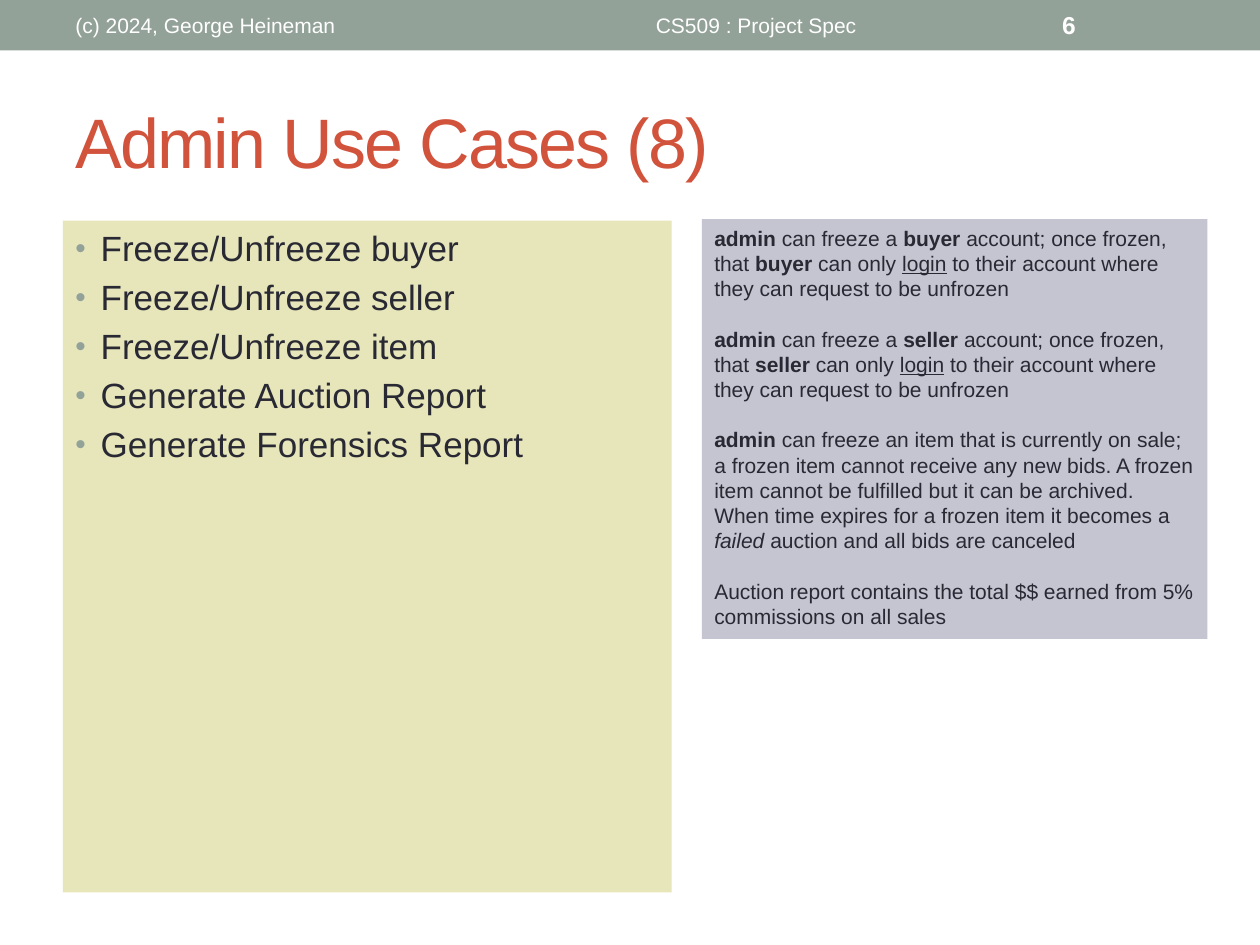
from lxml import etree
from pptx import Presentation
from pptx import util as u
from pptx.dml.color import RGBColor
from pptx.enum import shapes, text
from pptx.oxml import ns

SAGE = RGBColor(0x93, 0xA2, 0x99)
RED = RGBColor(0xD2, 0x53, 0x3C)
CREAM = RGBColor(0xE7, 0xE5, 0xBA)
LILAC = RGBColor(0xC5, 0xC5, 0xD1)
INK = RGBColor(0x29, 0x29, 0x34)
WHITE = RGBColor(0xFF, 0xFF, 0xFF)

prs = Presentation()
prs.slide_width, prs.slide_height = u.Cm(25.4), u.Cm(19.05)
s = prs.slides.add_slide(prs.slide_layouts[6])


def add_box(left, top, width, height, fill=None, anchor=text.MSO_ANCHOR.MIDDLE):
    """Add a box measured in cm; without a fill it is a plain text box."""
    at = [u.Cm(v) for v in (left, top, width, height)]
    if fill is None:
        sp = s.shapes.add_textbox(*at)
    else:
        sp = s.shapes.add_shape(shapes.MSO_SHAPE.RECTANGLE, *at)
        sp.shadow.inherit = False
        sp.fill.solid()
        sp.fill.fore_color.rgb = fill
        sp.line.fill.background()
    sp.text_frame.word_wrap = True
    sp.text_frame.vertical_anchor = anchor
    return sp


def add_run(p, words, size, color, style=""):
    """Add a run; style holds any of the letters b, i and u."""
    r = p.add_run()
    r.text = words
    r.font.name = "Arial"
    r.font.size = u.Pt(size)
    r.font.color.rgb = color
    r.font.bold = "b" in style
    r.font.italic = "i" in style
    r.font.underline = "u" in style
    return r


# Header band
add_box(0, 0, 25.4, 1.02, SAGE)
header = [
    (1.27, 8.05, "(c) 2024, George Heineman", 12, "", text.PP_ALIGN.LEFT),
    (9.53, 11.43, "CS509 : Project Spec", 12, "", text.PP_ALIGN.CENTER),
    (21.16, 2.97, "6", 14, "b", text.PP_ALIGN.LEFT),
]
for left, width, words, size, style, align in header:
    p = add_box(left, 0.05, width, 0.91).text_frame.paragraphs[0]
    p.alignment = align
    add_run(p, words, size, WHITE, style)

# Title
p = add_box(1.27, 1.47, 22.86, 2.74).text_frame.paragraphs[0]
r = add_run(p, "Admin Use Cases (8)", 40, RED)
r.font._element.set("spc", "-100")

# Use cases
use_cases = [
    "Freeze/Unfreeze buyer",
    "Freeze/Unfreeze seller",
    "Freeze/Unfreeze item",
    "Generate Auction Report",
    "Generate Forensics Report",
]
tf = add_box(1.27, 4.45, 12.27, 13.54, CREAM, text.MSO_ANCHOR.TOP).text_frame
for i, words in enumerate(use_cases):
    p = tf.add_paragraph() if i else tf.paragraphs[0]
    p.alignment = text.PP_ALIGN.LEFT
    p.space_before = u.Pt(4)
    add_run(p, words, 20, INK)
    pPr = p._p.get_or_add_pPr()
    pPr.set("marL", str(u.Cm(0.51)))
    pPr.set("indent", str(-u.Cm(0.51)))
    color = etree.SubElement(pPr, ns.qn("a:buClr"))
    etree.SubElement(color, ns.qn("a:srgbClr"), val=str(SAGE))
    etree.SubElement(pPr, ns.qn("a:buSzPct"), val="85000")
    etree.SubElement(pPr, ns.qn("a:buFont"), typeface="Arial")
    etree.SubElement(pPr, ns.qn("a:buChar"), char="•")

# Explanations
notes = [
    [("admin ", "b"), ("can freeze a ", ""), (f"{role} ", "b"),
     ("account; once frozen, that ", ""), (role, "b"), (" can only ", ""),
     ("login", "u"),
     (" to their account where they can request to be unfrozen", "")]
    for role in ("buyer", "seller")
] + [
    [("admin", "b"),
     (" can freeze an item that is currently on sale; a frozen item cannot "
      "receive any new bids. A frozen item cannot be fulfilled but it can be "
      "archived. When time expires for a frozen item it becomes a ", ""),
     ("failed", "i"), (" auction and all bids are canceled", "")],
    [("Auction report contains the total $$ earned from 5% commissions on "
      "all sales", "")],
]
tf = add_box(14.15, 4.42, 10.19, 8.46, LILAC, text.MSO_ANCHOR.TOP).text_frame
for i, runs in enumerate(notes):
    p = tf.add_paragraph() if i else tf.paragraphs[0]
    p.alignment = text.PP_ALIGN.LEFT
    p.space_before = u.Pt(14.4 if i else 0)
    for words, style in runs:
        add_run(p, words, 12, INK, style)

prs.save("out.pptx")
